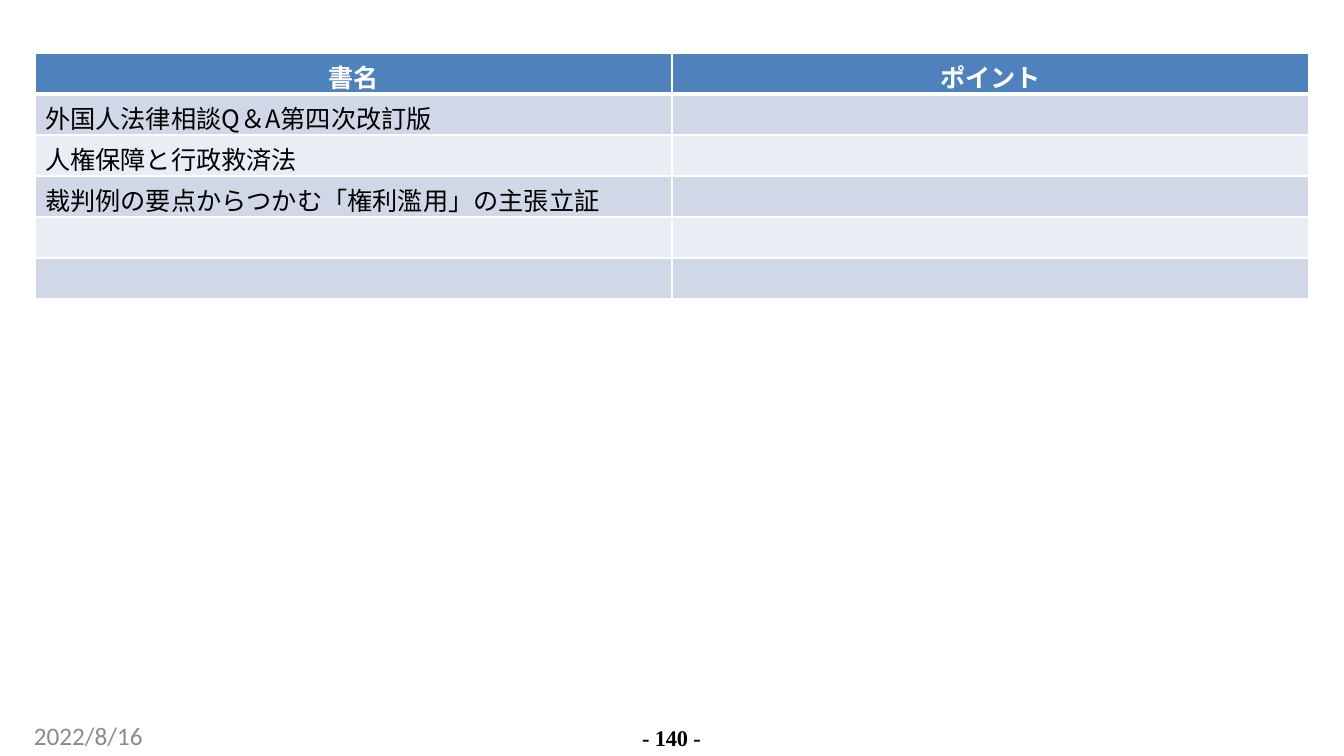
from lxml import etree
from pptx import Presentation
from pptx import util as u
from pptx.dml.color import RGBColor
from pptx.enum import text
from pptx.oxml.ns import qn

COLORS = {"header": "4F81BD", "odd": "D0D8E8", "even": "E9EDF4",
          "white": "FFFFFF", "black": "000000", "gray": "8C8C8C"}
CJK = "Noto Sans CJK JP"
ROWS = [
    ("書名", "ポイント"),
    ("外国人法律相談Q＆A第四次改訂版", ""),
    ("人権保障と行政救済法", ""),
    ("裁判例の要点からつかむ「権利濫用」の主張立証", ""),
    ("", ""),
    ("", ""),
]


def px(n):
    return u.Emu(round(n * 914400 / 100.8))


def color(name):
    return RGBColor.from_string(COLORS[name])


def write(tf, content, size=18, font=CJK, ink="black", bold=False,
          align=None, line=None, spacing=None):
    p = tf.paragraphs[0]
    if align is not None:
        p.alignment = align
    if line is not None:
        p.line_spacing = u.Pt(line)
    if not content:
        p.font.size, p.font.name = u.Pt(size), font
        return
    r = p.add_run()
    r.text = content
    r.font.size, r.font.name, r.font.bold = u.Pt(size), font, bold
    r.font.color.rgb = color(ink)
    rPr = r.font._element
    if spacing is not None:
        rPr.set("spc", str(spacing))
    ea = etree.Element(qn("a:ea"), typeface=CJK)
    rPr.find(qn("a:latin")).addnext(ea)


def border(cell, side, width):
    """Draw one white cell edge; call before the cell is filled."""
    ln = etree.SubElement(cell._tc.get_or_add_tcPr(), qn("a:ln" + side),
                          w=str(u.Pt(width)))
    fill = etree.SubElement(ln, qn("a:solidFill"))
    etree.SubElement(fill, qn("a:srgbClr"), val=COLORS["white"])


class SlideBuilder:
    def __init__(self, prs):
        self.s = prs.slides.add_slide(prs.slide_layouts[6])

    def label(self, content, x, y, w, h, **style):
        tf = self.s.shapes.add_textbox(px(x), px(y), px(w), px(h)).text_frame
        tf.word_wrap = True
        tf.margin_left = tf.margin_right = tf.margin_top = tf.margin_bottom = 0
        write(tf, content, **style)

    def table(self, rows, x, y, col_w, row_h):
        cols = len(rows[0])
        table = self.s.shapes.add_table(
            len(rows), cols, px(x), px(y),
            px(col_w * cols), px(row_h * len(rows))).table
        for column in table.columns:
            column.width = px(col_w)
        for i, row in enumerate(rows):
            table.rows[i].height = px(row_h)
            for j, content in enumerate(row):
                self.cell(table.cell(i, j), content, i)

    def cell(self, cell, content, row):
        widths = {"L": 1, "R": 1, "T": 3 if row == 1 else 1,
                  "B": 3 if row == 0 else 1}
        for side, width in widths.items():
            border(cell, side, width)
        cell.fill.solid()
        if row == 0:
            cell.fill.fore_color.rgb = color("header")
            write(cell.text_frame, content, font="Calibri", ink="white",
                  bold=True, align=text.PP_ALIGN.CENTER)
        else:
            cell.fill.fore_color.rgb = color("odd" if row % 2 else "even")
            write(cell.text_frame, content, font=CJK if content else "Calibri")


def main():
    prs = Presentation()
    prs.slide_width, prs.slide_height = px(1344), px(756)
    slide = SlideBuilder(prs)
    slide.label("2022/8/16", 34, 720, 309, 30, font="Calibri", ink="gray")
    slide.label("- 140 -", 628, 725, 87, 25, size=16, font="Times New Roman",
                bold=True, align=text.PP_ALIGN.CENTER, line=18.4, spacing=-10)
    slide.table(ROWS, 35, 53, 637, 41)
    prs.save("out.pptx")


if __name__ == "__main__":
    main()
